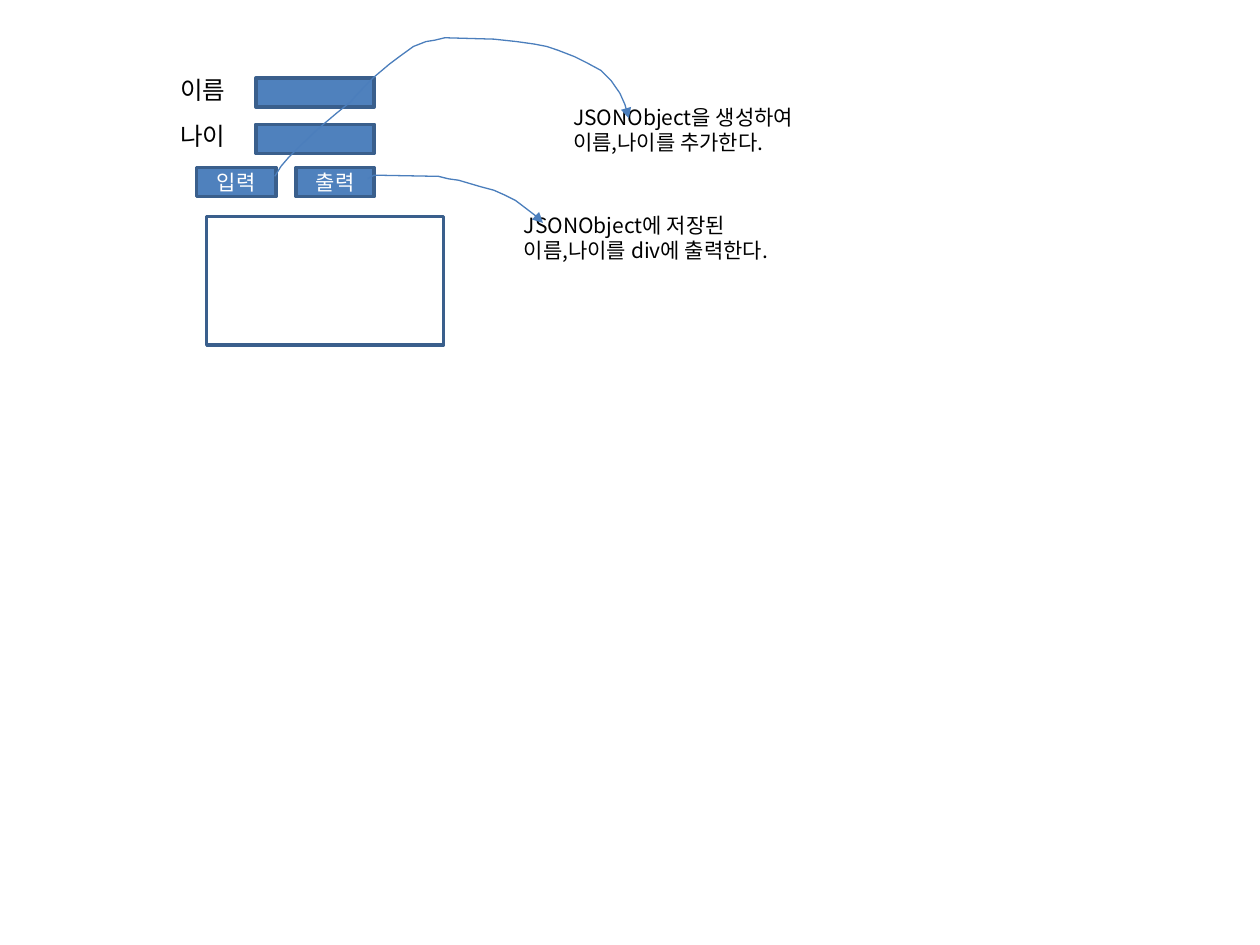
import pptx
import pptx.dml.color
import pptx.enum.shapes
import pptx.enum.text
import pptx.oxml
import pptx.oxml.ns
import pptx.util

Pt = pptx.util.Pt
RGBColor = pptx.dml.color.RGBColor

FONT = "Noto Sans CJK KR"
BLUE = RGBColor(0x4F, 0x81, 0xBD)
BORDER = RGBColor(0x3A, 0x5F, 0x8C)
ARROW = RGBColor(0x4B, 0x7E, 0xBC)
BLACK = RGBColor(0, 0, 0)
WHITE = RGBColor(0xFF, 0xFF, 0xFF)

FIELD_HEIGHT = 16.6

# Arrow routes, as x and y in points
INPUT_ROUTE = [
    (157, 100.8), (160.6, 95), (164.9, 90), (172.8, 82.1), (182.9, 72.7),
    (192.2, 64.8), (200.2, 58.3), (208, 49.7), (213.1, 44.6), (222.5, 36.7),
    (228.2, 32.4), (236.2, 26.6), (243.4, 23.8), (248.4, 23), (254.2, 21.6),
    (282.2, 22.4), (295.2, 23.8), (305.3, 25.2), (312.5, 26.6), (319, 28.8),
    (328.3, 32.4), (335.5, 36), (343.4, 40.3), (349.2, 46.1), (354.2, 53.3),
    (357.1, 59.8), (359.3, 67.7),
]
OUTPUT_ROUTE = [
    (210.2, 102.2), (213.8, 100.1), (250.6, 100.8), (256.3, 102.2),
    (262.1, 103), (274.3, 106.6), (282.2, 108.7), (288.7, 111.6),
    (294.5, 114.5), (300.2, 118.8), (306.7, 123.8), (310.3, 127.4),
]


def add_xml(parent, tag, **attributes):
    element = pptx.oxml.parse_xml(f"<a:{tag} {pptx.oxml.ns.nsdecls('a')}/>")
    for name, value in attributes.items():
        element.set(name, value)
    parent.append(element)


def write_lines(frame, lines, size, color, align=pptx.enum.text.PP_ALIGN.LEFT):
    frame.text = "\n".join(lines)
    for para in frame.paragraphs:
        para.alignment = align
        font = para.font
        font.size = Pt(size)
        font.color.rgb = color
        font.name = FONT
        defaults = para._p.pPr.find(pptx.oxml.ns.qn("a:defRPr"))
        add_xml(defaults, "ea", typeface=FONT)


def add_text(page, left, top, width, height, lines, size):
    box = page.shapes.add_textbox(Pt(left), Pt(top), Pt(width), Pt(height))
    box.text_frame.word_wrap = False
    write_lines(box.text_frame, lines, size, BLACK)


def add_rectangle(page, left, top, width, height, fill=BLUE, label=None):
    box = page.shapes.add_shape(
        pptx.enum.shapes.MSO_SHAPE.RECTANGLE,
        Pt(left), Pt(top), Pt(width), Pt(height))
    box.shadow.inherit = False
    if fill is None:
        box.fill.background()
    else:
        box.fill.solid()
        box.fill.fore_color.rgb = fill
    box.line.color.rgb = BORDER
    box.line.width = Pt(2)
    if label:
        box.text_frame.vertical_anchor = pptx.enum.text.MSO_ANCHOR.MIDDLE
        write_lines(box.text_frame, [label], 12, WHITE,
                    pptx.enum.text.PP_ALIGN.CENTER)


def add_curved_arrow(page, route):
    points = [(Pt(x), Pt(y)) for x, y in route]
    builder = page.shapes.build_freeform(*points[0], scale=1.0)
    builder.add_line_segments(points[1:], close=False)
    curve = builder.convert_to_shape()
    curve.shadow.inherit = False
    curve.fill.background()
    curve.line.color.rgb = ARROW
    curve.line.width = Pt(0.75)
    add_xml(curve.line._get_or_add_ln(), "tailEnd", type="triangle")


def main():
    deck = pptx.Presentation()
    deck.slide_width, deck.slide_height = Pt(720), Pt(540)
    page = deck.slides.add_slide(deck.slide_layouts[6])

    # Labelled input fields
    for row, label in enumerate(["이름", "나이"]):
        top = 44.6 + row * 26.5
        add_rectangle(page, 146.2, top, 67.7, FIELD_HEIGHT)
        add_text(page, 95.8, top - 5.2, 42.5, 24.5, [label], 14)

    # Buttons and the result area
    for left, width, label in [(112.3, 45.4, "입력"), (169.2, 44.6, "출력")]:
        add_rectangle(page, left, 95.8, width, FIELD_HEIGHT, label=label)
    add_rectangle(page, 118.1, 123.8, 135.4, 73.4, fill=None)

    # Explanations, each with the arrow from its button
    add_text(page, 320.4, 56.2, 144.7, 58.3,
             ["JSONObject을 생성하여", "이름,나이를 추가한다."], 12)
    add_curved_arrow(page, INPUT_ROUTE)
    add_text(page, 292.3, 118.1, 165.6, 36,
             ["JSONObject에 저장된", "이름,나이를 div에 출력한다."], 12)
    add_curved_arrow(page, OUTPUT_ROUTE)

    deck.save("out.pptx")


if __name__ == "__main__":
    main()
